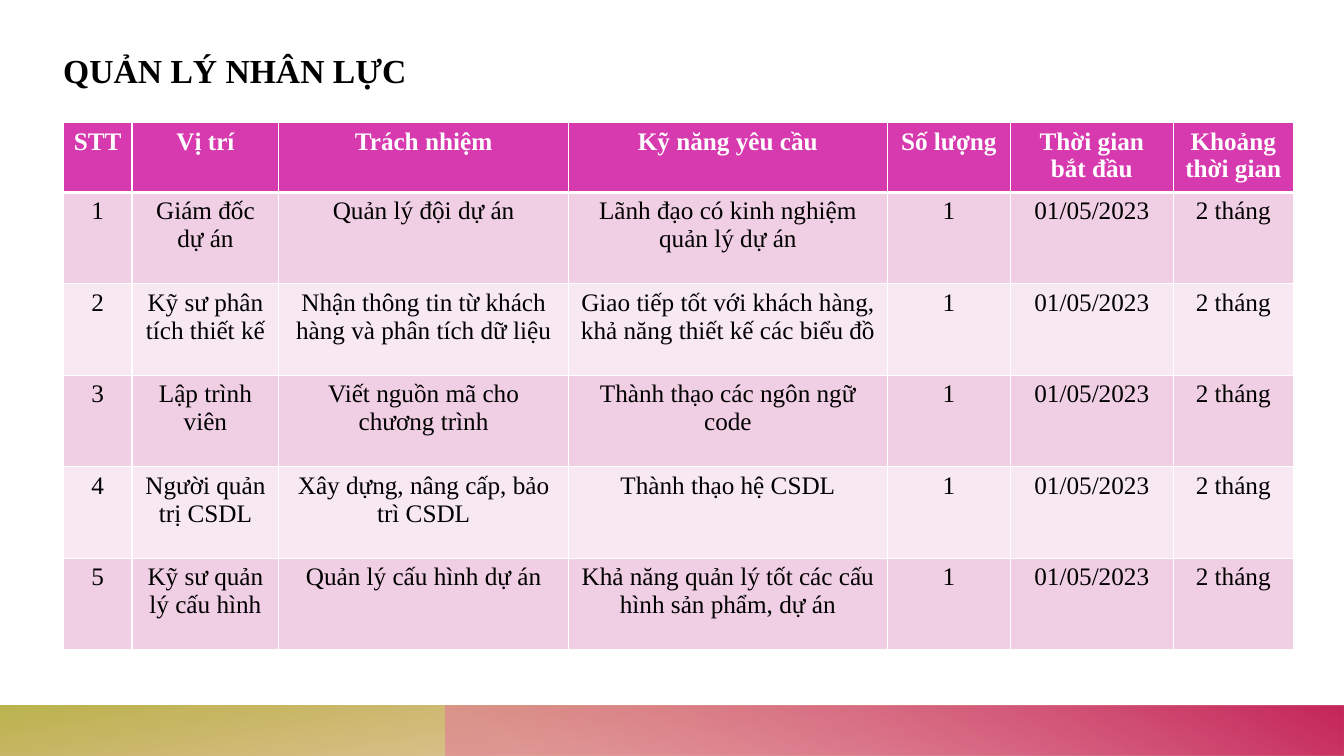
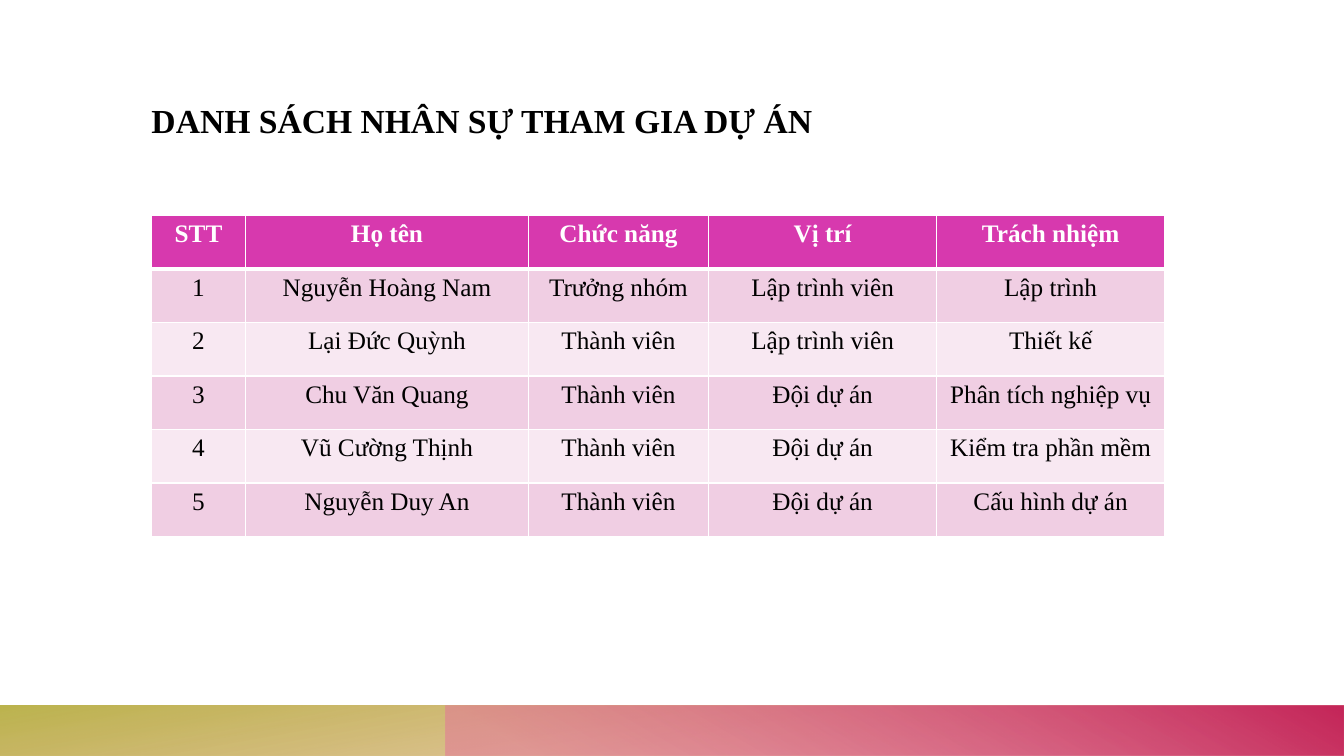
import pptx
import pptx.dml.color
import pptx.enum.shapes
import pptx.enum.text
import pptx.oxml
import pptx.oxml.ns
import pptx.util

FONT = "Times New Roman"
BLACK, WHITE = "000000", "FFFFFF"
HEADER, STRIPES = "D739AE", ("F0CEE3", "F8E8F2")
WIDTH, HEIGHT = pptx.util.Inches(13.33), pptx.util.Inches(7.5)
THIN, THICK = pptx.util.Pt(1), pptx.util.Pt(3)
BAND_TOP, BAND_HEIGHT = 93.33, 6.67
qn = pptx.oxml.ns.qn


def rgb(value):
    return pptx.dml.color.RGBColor.from_string(value)


def across(percent):
    """Share of the slide's width."""
    return round(WIDTH * percent / 100)


def down(percent):
    """Share of the slide's height."""
    return round(HEIGHT * percent / 100)


def set_font(p, size, color, bold):
    p.font.name, p.font.size, p.font.bold = FONT, pptx.util.Pt(size), bold
    p.font.color.rgb = rgb(color)


# Footer bands, shared through the layout
def add_band(slide, layout, position, left, angle, stops, rotation=0):
    sp = slide.shapes.add_shape(
        pptx.enum.shapes.MSO_SHAPE.RECTANGLE, across(left), down(BAND_TOP),
        across(100 - left), down(BAND_HEIGHT))
    sp.shadow.inherit = False
    sp.line.fill.background()
    sp.rotation = rotation
    sp.element.spPr.find(qn("a:xfrm")).set("flipH", "1")
    sp.fill.gradient()
    sp.fill.gradient_angle = 360 - angle  # counter-clockwise
    for stop, (place, color, _) in zip(sp.fill.gradient_stops, stops):
        stop.position = place / 100
        stop.color.rgb = rgb(color)
    for clr, (_, _, opacity) in zip(sp.element.spPr.iter(qn("a:srgbClr")), stops):
        alpha = pptx.oxml.parse_xml(
            f'<a:alpha {pptx.oxml.ns.nsdecls("a")} val="{opacity * 1000}"/>')
        clr.append(alpha)
    layout.shapes.element.insert(position, sp.element)


def add_footer(slide, layout):
    add_band(slide, layout, 2, 0, 100,
             [(14, "C57827", 28), (100, "B0A72F", 85)], rotation=180)
    add_band(slide, layout, 3, 33.15, 240,
             [(9, "E47699", 55), (99, "C5275A", 100)])


# Title
def set_title(slide, text, left, top, width, height):
    sp = slide.shapes.title
    sp.left, sp.top = across(left), down(top)
    sp.width, sp.height = across(width), down(height)
    tf = sp.text_frame
    tf.text = text
    tf.word_wrap = True
    tf.auto_size = pptx.enum.text.MSO_AUTO_SIZE.NONE
    tf.vertical_anchor = pptx.enum.text.MSO_ANCHOR.BOTTOM
    tf.margin_left = tf.margin_top = tf.margin_right = tf.margin_bottom = 0
    p = tf.paragraphs[0]
    p.alignment = pptx.enum.text.PP_ALIGN.LEFT
    set_font(p, 24, BLACK, True)


# Table
def set_borders(cell, top, bottom):
    tc_pr = cell._tc.get_or_add_tcPr()
    sides = {"L": THIN, "R": THIN, "T": top, "B": bottom}
    for i, (side, width) in enumerate(sides.items()):
        tc_pr.insert(i, pptx.oxml.parse_xml(
            f'<a:ln{side} {pptx.oxml.ns.nsdecls("a")} w="{width}"><a:solidFill>'
            f'<a:srgbClr val="{WHITE}"/></a:solidFill></a:ln{side}>'))


def fill_cell(cell, text, row):
    header = row == 0
    cell.text = text
    p = cell.text_frame.paragraphs[0]
    p.alignment = pptx.enum.text.PP_ALIGN.CENTER
    set_font(p, 18, WHITE if header else BLACK, header)
    cell.fill.solid()
    cell.fill.fore_color.rgb = rgb(HEADER if header else STRIPES[(row - 1) % 2])
    set_borders(cell, THICK if row == 1 else THIN, THICK if header else THIN)


def add_table(slide, left, top, widths, header_height, row_height, headings, records):
    """Lay out the records under the headings, numbered in the first column."""
    rows = [("STT", *headings)]
    rows += [(str(n), *record) for n, record in enumerate(records, 1)]
    heights = [header_height] + [row_height] * len(records)
    table = slide.shapes.add_table(
        len(rows), len(widths), across(left), down(top),
        across(sum(widths)), down(sum(heights))).table
    for column, width in zip(table.columns, widths):
        column.width = across(width)
    for r, (texts, height) in enumerate(zip(rows, heights)):
        table.rows[r].height = down(height)
        for c, text in enumerate(texts):
            fill_cell(table.cell(r, c), text, r)


# Slides
def build_staffing(slide):
    left = 4.7
    set_title(slide, "QUẢN LÝ NHÂN LỰC", left, 5.2, 38.8, 6.8)
    roles = [
        ("Giám đốc dự án", "Quản lý đội dự án",
         "Lãnh đạo có kinh nghiệm quản lý dự án"),
        ("Kỹ sư phân tích thiết kế",
         "Nhận thông tin từ khách hàng và phân tích dữ liệu",
         "Giao tiếp tốt với khách hàng, khả năng thiết kế các biểu đồ"),
        ("Lập trình viên", "Viết nguồn mã cho chương trình",
         "Thành thạo các ngôn ngữ code"),
        ("Người quản trị CSDL", "Xây dựng, nâng cấp, bảo trì CSDL",
         "Thành thạo hệ CSDL"),
        ("Kỹ sư quản lý cấu hình", "Quản lý cấu hình dự án",
         "Khả năng quản lý tốt các cấu hình sản phẩm, dự án"),
    ]
    schedule = ("1", "01/05/2023", "2 tháng")
    add_table(slide, left, 16.2, [5.13, 10.92, 21.55, 23.73, 9.15, 12.13, 8.92],
              9.25, 12.1,
              ("Vị trí", "Trách nhiệm", "Kỹ năng yêu cầu", "Số lượng",
               "Thời gian bắt đầu", "Khoảng thời gian"),
              [role + schedule for role in roles])


def build_members(slide):
    left = 11.27
    set_title(slide, "DANH SÁCH NHÂN SỰ THAM GIA DỰ ÁN", left, 11.6, 73.8, 6.93)
    leader, member = "Trưởng nhóm", "Thành viên"
    coder, team = "Lập trình viên", "Đội dự án"
    add_table(slide, left, 28.5, [7, 21.05, 13.4, 16.98, 16.95], 7.08, 7.08,
              ("Họ tên", "Chức năng", "Vị trí", "Trách nhiệm"),
              [("Nguyễn Hoàng Nam", leader, coder, "Lập trình"),
               ("Lại Đức Quỳnh", member, coder, "Thiết kế"),
               ("Chu Văn Quang", member, team, "Phân tích nghiệp vụ"),
               ("Vũ Cường Thịnh", member, team, "Kiểm tra phần mềm"),
               ("Nguyễn Duy An", member, team, "Cấu hình dự án")])


def main():
    prs = pptx.Presentation()
    prs.slide_width, prs.slide_height = WIDTH, HEIGHT
    layout = prs.slide_layouts[5]
    layout.background.fill.solid()
    layout.background.fill.fore_color.rgb = rgb(WHITE)
    staffing, members = (prs.slides.add_slide(layout) for _ in range(2))
    add_footer(staffing, layout)
    build_staffing(staffing)
    build_members(members)
    prs.save("out.pptx")


if __name__ == "__main__":
    main()
